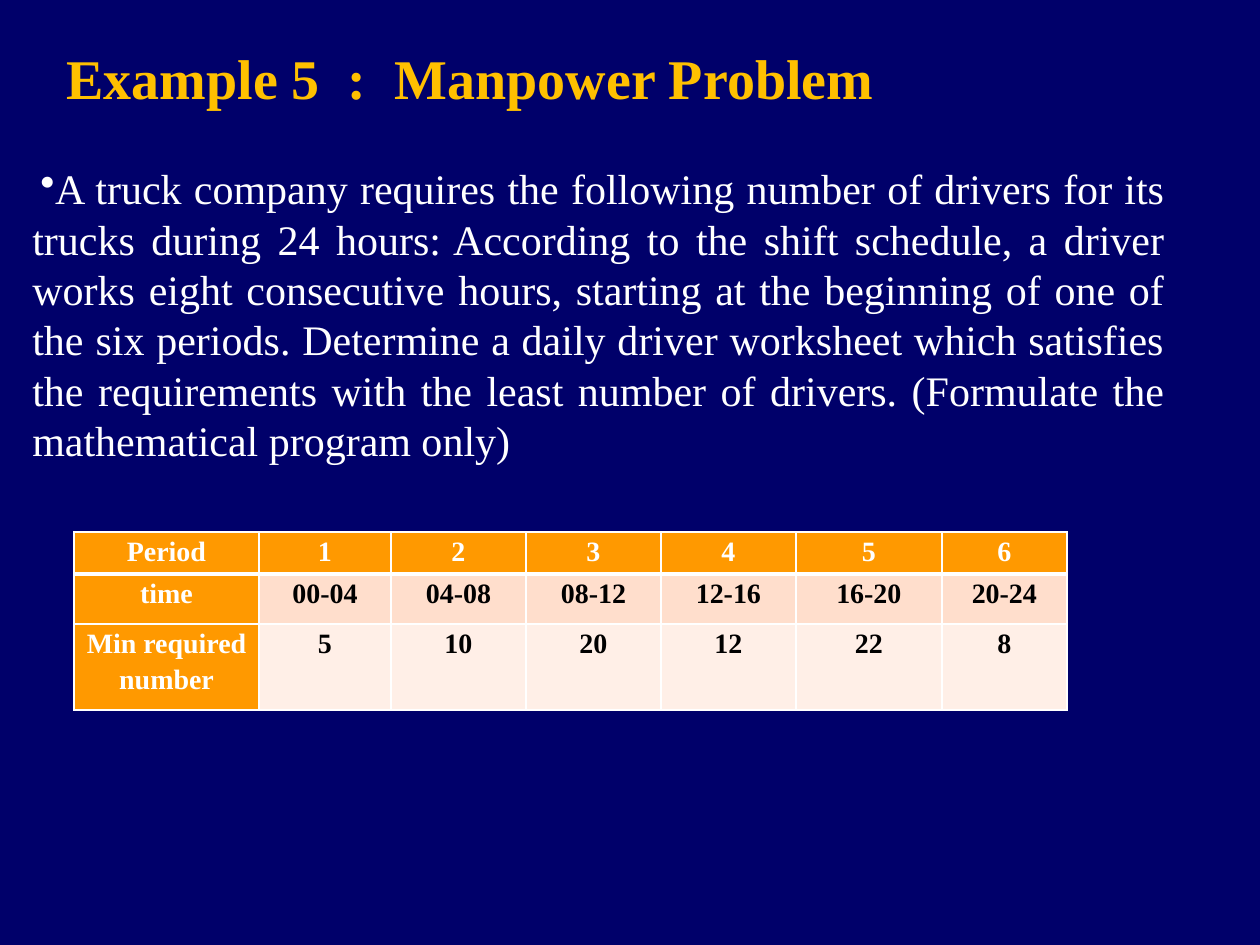
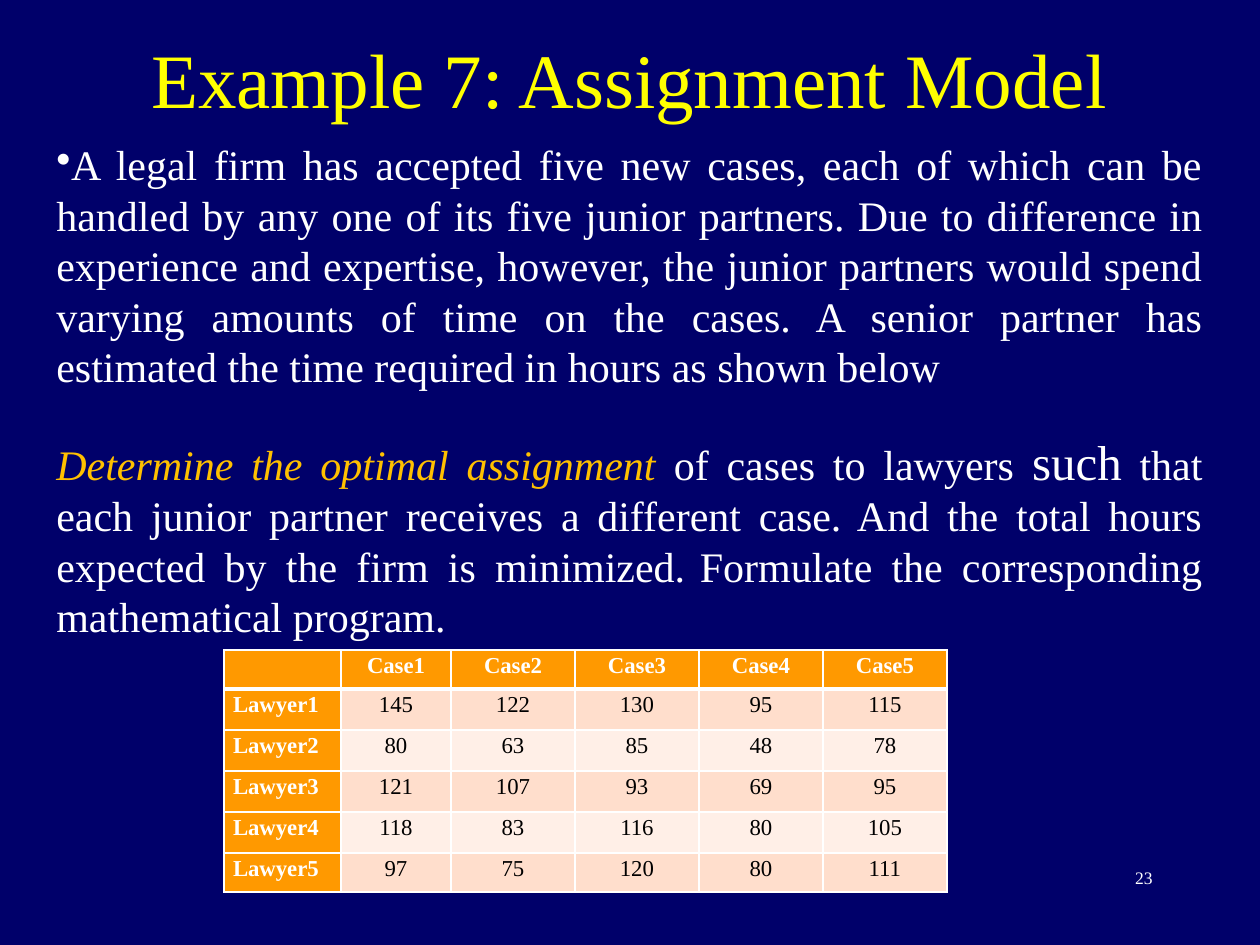
import pptx
import pptx.util
import pptx.dml.color
import pptx.enum.text
import pptx.oxml.ns
import lxml.etree

# Shared look
SCALE = 914400 / 126
SERIF, SANS = "Times New Roman", "Arial"
NAVY, WHITE, BLACK = "00006A", "FFFFFF", "000000"
GOLD, YELLOW, ORANGE = "FFC000", "FFFF00", "FF9900"
BANDS = ["FFDECC", "FFEFE7"]
ALIGN = pptx.enum.text.PP_ALIGN
ANCHOR = pptx.enum.text.MSO_ANCHOR
qn = pptx.oxml.ns.qn


def px(n):
    return pptx.util.Emu(round(n * SCALE))


def rgb(code):
    return pptx.dml.color.RGBColor.from_string(code)


deck = pptx.Presentation()
deck.slide_width, deck.slide_height = px(1260), px(945)

pages = [
    {
        # Text: box, anchor, alignment, paragraphs of (text, size, colour, style, font)
        "texts": [
            ((20, 155, 1157, 318), ANCHOR.MIDDLE, ALIGN.JUSTIFY, [[
                ("A truck company requires the following number of drivers for its "
                 "trucks during 24 hours:", 24, WHITE, "", SERIF),
                (" ", 12, WHITE, "", SANS),
                ("According to the shift schedule, a driver works eight consecutive "
                 "hours, starting at the beginning of one of the six periods. "
                 "Determine a daily driver worksheet which satisfies the requirements "
                 "with the least number of drivers. (Formulate the mathematical "
                 "program only)", 24, WHITE, "", SERIF)]]),
            ((54, 37, 1101, 149), ANCHOR.TOP, ALIGN.LEFT, [[
                ("Example 5  :  Manpower Problem", 32, GOLD, "b", SERIF)]]),
        ],
        "indent": 8,
        "grid": {
            "at": (74, 532), "size": 16, "bold": True, "side": ALIGN.CENTER,
            "cols": [185, 132, 135, 135, 135, 146, 125], "rows": [42, 50, 86],
            "data": [
                ["Period", "1", "2", "3", "4", "5", "6"],
                ["time", "00-04", "04-08", "08-12", "12-16", "16-20", "20-24"],
                ["Min required number", "5", "10", "20", "12", "22", "8"]],
        },
    },
    {
        "texts": [
            ((44, 129, 1171, 522), ANCHOR.MIDDLE, ALIGN.JUSTIFY, [
                [("A legal firm has accepted five new cases, each of which can be "
                  "handled by any one of its five junior partners. Due to difference "
                  "in experience and expertise, however, the junior partners would "
                  "spend varying amounts of time on the cases. A senior partner has "
                  "estimated the time required in hours as shown below",
                  24, WHITE, "", SERIF)],
                [("Determine the optimal assignment ", 24, GOLD, "i", SERIF),
                 ("of cases to lawyers ", 24, WHITE, "", SERIF),
                 ("such", 28, WHITE, "", SERIF),
                 (" that each junior partner receives a different case. And the "
                  "total hours expected by the firm is minimized.",
                  24, WHITE, "", SERIF),
                 (" ", 11, WHITE, "", SANS),
                 ("Formulate the corresponding mathematical program.",
                  24, WHITE, "", SERIF)]]),
            ((94, -1, 1071, 157), ANCHOR.MIDDLE, ALIGN.CENTER, [[
                ("Example 7: Assignment Model", 44, YELLOW, "", SERIF)]]),
            ((903, 861, 262, 63), ANCHOR.TOP, ALIGN.RIGHT, [[
                ("23", 10, WHITE, "", SERIF)]]),
        ],
        "indent": 0,
        "grid": {
            "at": (224, 650), "size": 13, "bold": False, "side": ALIGN.JUSTIFY,
            "cols": [117, 110] + [124] * 4, "rows": [39] + [41] * 4 + [39],
            "data": [
                ["", "Case1", "Case2", "Case3", "Case4", "Case5"],
                ["Lawyer1", "145", "122", "130", "95", "115"],
                ["Lawyer2", "80", "63", "85", "48", "78"],
                ["Lawyer3", "121", "107", "93", "69", "95"],
                ["Lawyer4", "118", "83", "116", "80", "105"],
                ["Lawyer5", "97", "75", "120", "80", "111"]],
        },
    },
]

for page in pages:
    slide = deck.slides.add_slide(deck.slide_layouts[6])
    slide.background.fill.solid()
    slide.background.fill.fore_color.rgb = rgb(NAVY)

    # Table
    grid = page["grid"]
    cols, rows, data = grid["cols"], grid["rows"], grid["data"]
    x, y = grid["at"]
    table = slide.shapes.add_table(len(rows), len(cols), px(x), px(y),
                                   px(sum(cols)), px(sum(rows))).table
    for c, wide in enumerate(cols):
        table.columns[c].width = px(wide)
    for r, high in enumerate(rows):
        table.rows[r].height = px(high)
        for c, word in enumerate(data[r]):
            cell = table.cell(r, c)
            head = r == 0 or c == 0
            cell.margin_left = cell.margin_right = px(9)
            cell.margin_top = cell.margin_bottom = 0

            # Borders, thick below the header row
            props = cell._tc.get_or_add_tcPr()
            for edge in "LRTB":
                thick = (r, edge) in [(0, "B"), (1, "T")]
                line = lxml.etree.SubElement(props, qn("a:ln" + edge),
                                             w=str(pptx.util.Pt(3 if thick else 1)))
                paint = lxml.etree.SubElement(line, qn("a:solidFill"))
                lxml.etree.SubElement(paint, qn("a:srgbClr"), val=WHITE)
            cell.fill.solid()
            cell.fill.fore_color.rgb = rgb(ORANGE if head else BANDS[(r - 1) % 2])

            if word:
                para = cell.text_frame.paragraphs[0]
                para.text = word
                para.alignment = grid["side"] if c == 0 else ALIGN.CENTER
                para.line_spacing = 1.15
                para.space_after = pptx.util.Pt(10)
                font = para.runs[0].font
                font.name, font.size = SERIF, pptx.util.Pt(grid["size"])
                font.bold = head or grid["bold"]
                font.color.rgb = rgb(WHITE if head else BLACK)

    # Body, title and page number
    for n, (box, anchor, align, paras) in enumerate(page["texts"]):
        frame = slide.shapes.add_textbox(*map(px, box)).text_frame
        frame.word_wrap = True
        frame.vertical_anchor = anchor
        for k, parts in enumerate(paras):
            para = frame.add_paragraph() if k else frame.paragraphs[0]
            para.alignment = align
            for text, size, hue, style, face in parts:
                run = para.add_run()
                run.text = text
                run.font.name, run.font.size = face, pptx.util.Pt(size)
                run.font.color.rgb = rgb(hue)
                run.font.bold, run.font.italic = style == "b", style == "i"
            if len(paras) > 1 and k == 0:
                para.space_after = pptx.util.Pt(23)
            # Bullet on the first body paragraph
            if n == 0 and k == 0:
                props = para._p.get_or_add_pPr()
                props.set("marL", "0")
                props.set("indent", str(px(page["indent"])))
                lxml.etree.SubElement(props, qn("a:buChar"), char="•")

deck.save("out.pptx")
